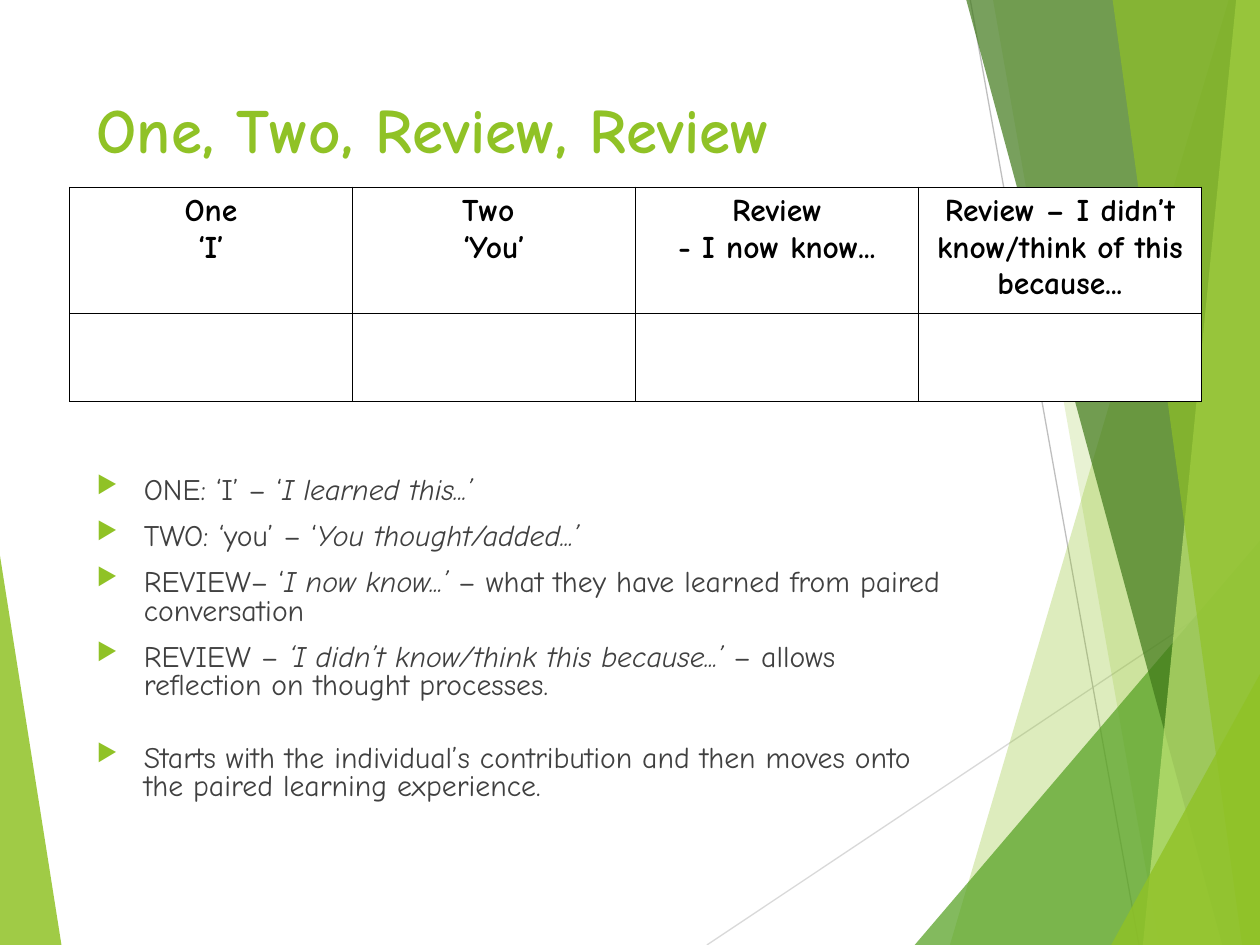
from lxml import etree
from pptx import Presentation
from pptx import util as u
from pptx.dml.color import RGBColor
from pptx.enum import shapes, text
from pptx.oxml import ns

COLORS = {
    "lime": "90C226", "pale": "C0E474", "green": "54A021", "dark": "3F7819",
    "line": "D9D9D9", "grey": "BFBFBF", "body": "404040",
    "black": "000000", "white": "FFFFFF",
}
FONT = "Comic Neue"
WIDTH, HEIGHT = 25.4, 19.05

LEFT_FACET = ((0, 11.2), (1.24, HEIGHT), "lime", 85)
RIGHT_FACETS = [
    ((24.77, 0), (19.15, HEIGHT), "lime", 30),
    ((20.02, 0), (23.37, HEIGHT), "lime", 20),
    ((WIDTH, 10.9), (18.44, HEIGHT), "green", 72),
    ((19.48, 0), (24.64, HEIGHT), "dark", 70),
    ((24.92, 0), (23.04, HEIGHT), "pale", 70),
    ((22.43, 0), (25.04, HEIGHT), "lime", 65),
    ((WIDTH, 13.59), (22.4, HEIGHT), "lime", 80),
]
RAYS = [
    ((14.25, HEIGHT), (WIDTH, 11.61), "line"),
    ((19.56, 0), (22.96, HEIGHT), "grey"),
]
HEADINGS = [
    ["One", "‘I’"],
    ["Two ", "‘You’"],
    ["Review", "- I now know..."],
    ["Review – I didn’t know/think of this because..."],
]
# upright and italic runs alternate
STEPS = [
    ["ONE: ‘I’ – ‘", "I learned this...’"],
    ["TWO: ‘you’ – ‘", "You thought/added...’"],
    ["REVIEW– ‘", "I now know...’ ", "– what they have learned from paired conversation"],
    ["REVIEW – ", "‘I didn’t know/think this because...’ ", "– allows reflection on thought processes."],
    ["Starts with the individual’s contribution and then moves onto the paired learning experience."],
]
SPACE_BEFORE = [0, 10, 10, 10, 25]


def rgb(color):
    return RGBColor.from_string(COLORS[color])


def apply(target, values):
    for name, value in values.items():
        setattr(target, name, value)


def add_element(parent, tag, **attributes):
    return etree.SubElement(parent, ns.qn(tag), attributes)


def add_facet(slide, start, end, color, opacity, edge=WIDTH):
    points = [start, end, (edge, HEIGHT), (edge, start[1])]
    corners = [(u.Cm(x), u.Cm(y)) for x, y in points]
    builder = slide.shapes.build_freeform(*corners[0])
    builder.add_line_segments(corners[1:])
    shape = builder.convert_to_shape()
    shape.shadow.inherit = False
    shape.line.fill.background()
    shape.fill.solid()
    shape.fill.fore_color.rgb = rgb(color)
    fill_color = shape.fill._xPr.find(ns.qn("a:solidFill"))[0]
    add_element(fill_color, "a:alpha", val=str(opacity * 1000))


def add_ray(slide, start, end, color):
    ends = [u.Cm(value) for value in (*start, *end)]
    ray = slide.shapes.add_connector(shapes.MSO_CONNECTOR.STRAIGHT, *ends)
    ray.line.color.rgb = rgb(color)
    ray.line.width = u.Pt(0.75)
    add_element(ray._element.spPr, "a:effectLst")


def add_text_box(slide, left, top, width, height):
    box = slide.shapes.add_textbox(u.Cm(left), u.Cm(top), u.Cm(width), u.Cm(height))
    apply(box.text_frame, {"word_wrap": True, "vertical_anchor": text.MSO_ANCHOR.TOP})
    return box.text_frame


def next_paragraph(frame, index):
    return frame.paragraphs[0] if index == 0 else frame.add_paragraph()


def add_run(paragraph, words, size, color, bold=False, italic=False):
    run = paragraph.add_run()
    run.text = words
    apply(run.font, {"name": FONT, "size": u.Pt(size), "bold": bold, "italic": italic})
    run.font.color.rgb = rgb(color)


def add_bullet(paragraph):
    properties = paragraph._p.get_or_add_pPr()
    properties.set("marL", str(u.Cm(0.95)))
    properties.set("indent", str(u.Cm(-0.95)))
    bullet_color = add_element(properties, "a:buClr")
    add_element(bullet_color, "a:srgbClr", val=COLORS["lime"])
    add_element(properties, "a:buSzPct", val="80000")
    add_element(properties, "a:buChar", char="▶")


def add_steps(slide):
    frame = add_text_box(slide, 1.7, 9.5, 17.63, 7.26)
    for index, (runs, space) in enumerate(zip(STEPS, SPACE_BEFORE)):
        paragraph = next_paragraph(frame, index)
        add_bullet(paragraph)
        apply(paragraph, {"line_spacing": 0.8, "space_before": u.Pt(space)})
        for position, words in enumerate(runs):
            add_run(paragraph, words, 17, "body", italic=position % 2 == 1)


def format_cell(cell):
    properties = cell._tc.get_or_add_tcPr()
    for side in ("a:lnL", "a:lnR", "a:lnT", "a:lnB"):
        border = add_element(properties, side, w=str(u.Pt(0.45)))
        fill = add_element(border, "a:solidFill")
        add_element(fill, "a:srgbClr", val=COLORS["black"])
    cell.fill.solid()
    cell.fill.fore_color.rgb = rgb("white")


def add_review_table(slide):
    heights = [2.54, 1.78]
    frame = slide.shapes.add_table(
        len(heights), len(HEADINGS), u.Cm(1.4), u.Cm(3.77), u.Cm(22.82), u.Cm(sum(heights)))
    table = frame.table
    for row, height in zip(table.rows, heights):
        row.height = u.Cm(height)
    for cell in table.iter_cells():
        format_cell(cell)
    for column, lines in enumerate(HEADINGS):
        cell_frame = table.cell(0, column).text_frame
        for index, words in enumerate(lines):
            paragraph = next_paragraph(cell_frame, index)
            paragraph.alignment = text.PP_ALIGN.CENTER
            add_run(paragraph, words, 18, "black", bold=True)


def main():
    presentation = Presentation()
    apply(presentation, {"slide_width": u.Cm(WIDTH), "slide_height": u.Cm(HEIGHT)})
    slide = presentation.slides.add_slide(presentation.slide_layouts[6])
    add_facet(slide, *LEFT_FACET, edge=0)
    for ray in RAYS:
        add_ray(slide, *ray)
    for facet in RIGHT_FACETS:
        add_facet(slide, *facet)
    title = add_text_box(slide, 1.7, 1.7, 17.63, 3.66)
    add_run(title.paragraphs[0], "One, Two, Review, Review", 36, "lime", bold=True)
    add_steps(slide)
    add_review_table(slide)
    presentation.save("out.pptx")


if __name__ == "__main__":
    main()
